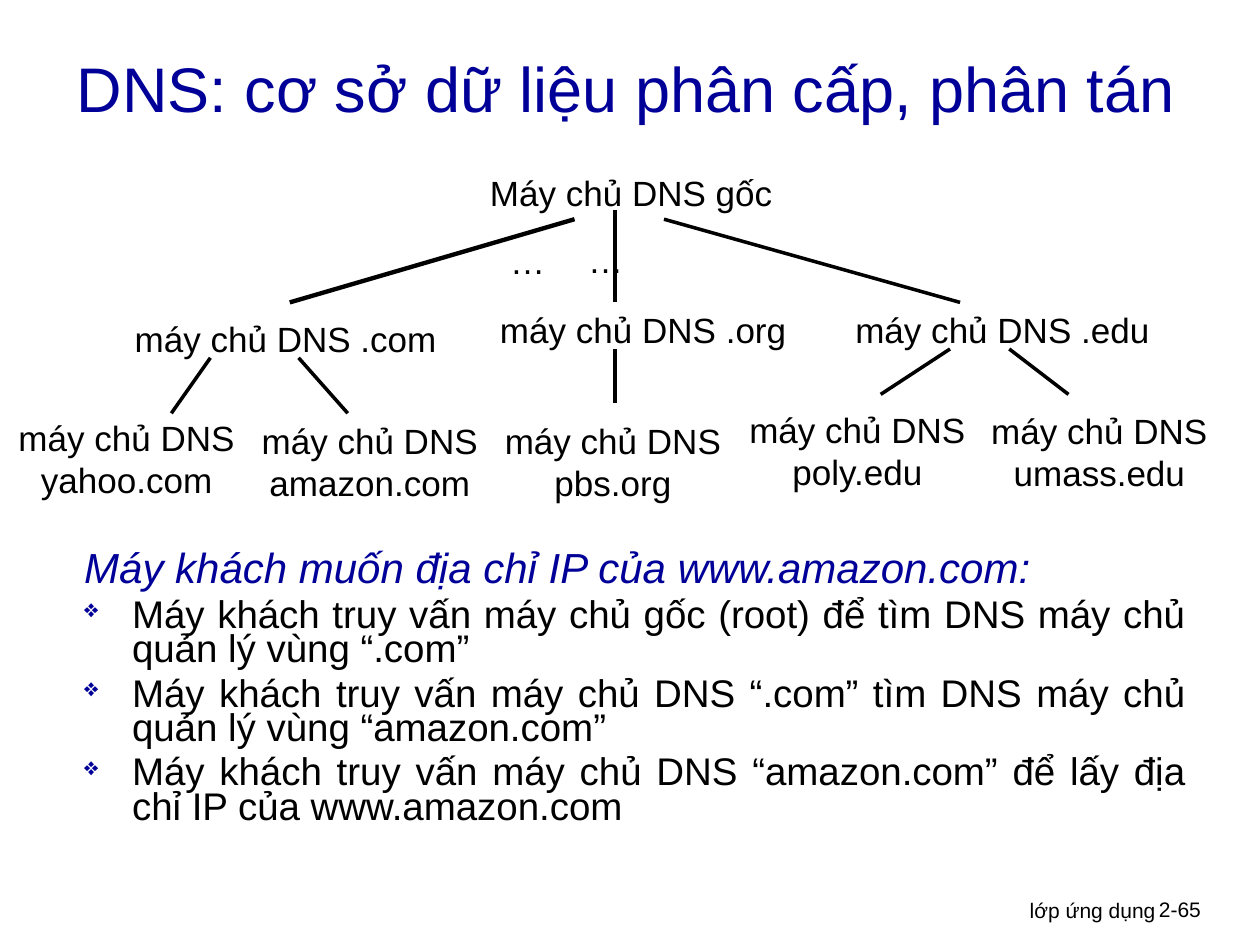
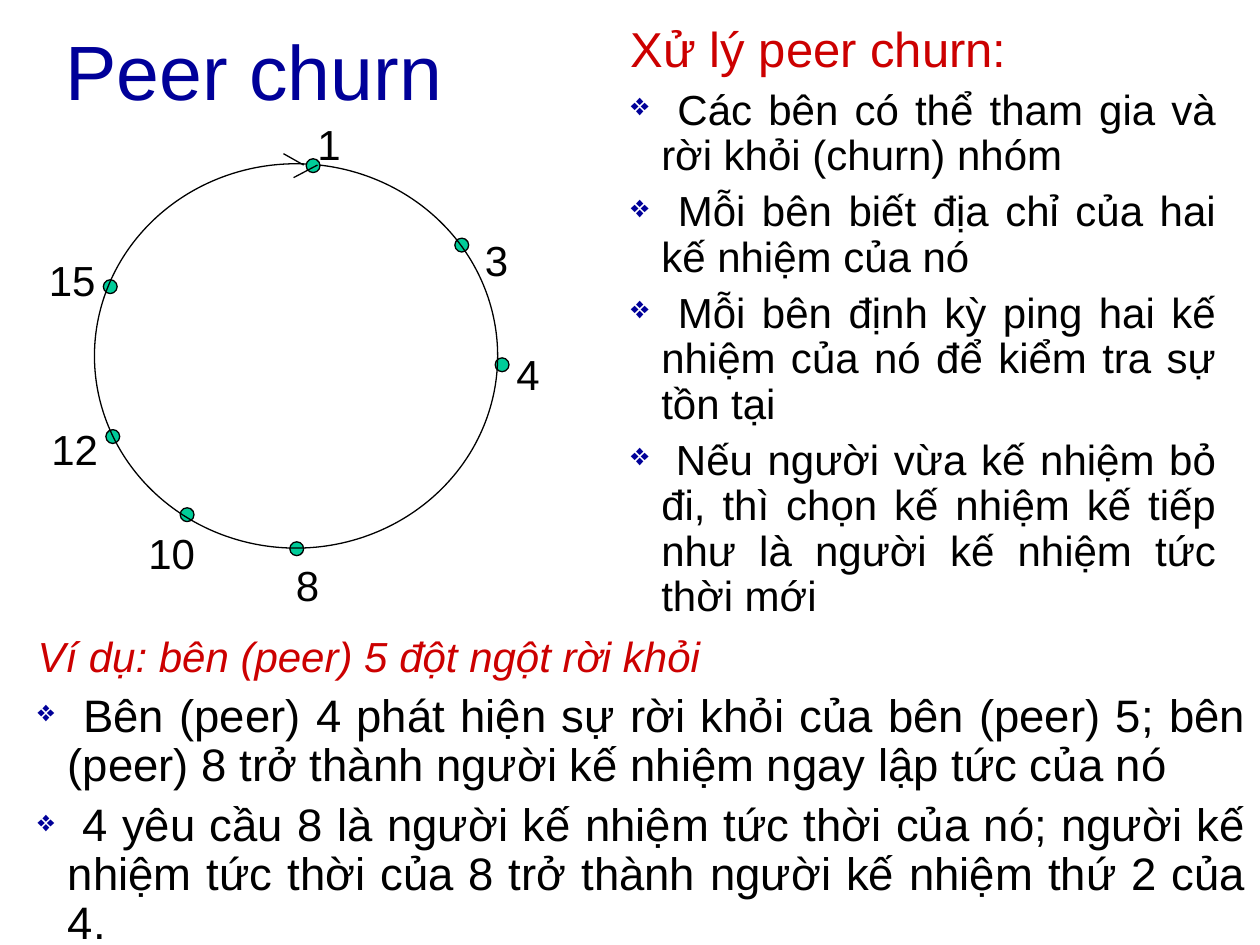
from dataclasses import dataclass
from typing import Optional, Union

from lxml import etree
from pptx import Presentation
from pptx.dml.color import RGBColor
from pptx.enum.shapes import MSO_CONNECTOR, MSO_SHAPE
from pptx.enum.text import MSO_ANCHOR, MSO_AUTO_SIZE, PP_ALIGN
from pptx.oxml.ns import qn
from pptx.slide import Slide
from pptx.util import Inches, Pt

NAVY = RGBColor(0x00, 0x00, 0x99)
RED = RGBColor(0xCC, 0x00, 0x00)
BLACK = RGBColor(0x00, 0x00, 0x00)
GREEN = RGBColor(0x00, 0xCC, 0x99)
FONT = "Arial"
BULLET = "❖"
DOT_SIZE = 0.11
SERVER_WIDTH = 2.01

LEFT, CENTER, RIGHT, JUSTIFY = PP_ALIGN.LEFT, PP_ALIGN.CENTER, PP_ALIGN.RIGHT, PP_ALIGN.JUSTIFY
MIDDLE, TOP = MSO_ANCHOR.MIDDLE, MSO_ANCHOR.TOP
NO_FIT, GROW = MSO_AUTO_SIZE.NONE, MSO_AUTO_SIZE.SHAPE_TO_FIT_TEXT
STRAIGHT = MSO_CONNECTOR.STRAIGHT
ELLIPSE = MSO_SHAPE.OVAL


@dataclass(frozen=True)
class Area:
    left: float
    top: float
    width: float
    height: float

    def lengths(self) -> tuple:
        return tuple(Inches(n) for n in (self.left, self.top, self.width, self.height))


@dataclass(frozen=True)
class Label:
    text: str
    area: Area
    size: int = 20
    align: PP_ALIGN = LEFT
    wrap: bool = False


@dataclass(frozen=True)
class Segment:
    x1: float
    y1: float
    x2: float
    y2: float
    width: float = 2


@dataclass(frozen=True)
class BulletStyle:
    size: int
    space_before: float
    indent: float
    percent: int


@dataclass(frozen=True)
class Section:
    area: Area
    heading: str
    heading_size: int
    heading_color: RGBColor
    italic: bool
    points: tuple[str, ...]
    style: BulletStyle
    heading_spacing: Optional[float]
    point_spacing: Union[float, Pt]


@dataclass(frozen=True)
class Peer:
    name: str
    dot_left: float
    dot_top: float
    label_left: float
    label_top: float


def server(name: str, left: float, top: float) -> Label:
    return Label(f"máy chủ DNS\n{name}", Area(left, top, SERVER_WIDTH, 0.77), align=CENTER)


FOOTER = (
    Label("lớp ứng dụng", Area(6.1, 7.07, 3.17, 0.31), 12, RIGHT, True),
    Label("2-65", Area(9.1, 7.07, 0.74, 0.3), 12, LEFT, True),
)

TREE_LABELS = (
    Label("Máy chủ DNS gốc", Area(3.79, 1.31, 2.54, 0.44)),
    Label("máy chủ DNS .com", Area(0.97, 2.47, 2.69, 0.44)),
    Label("máy chủ DNS .org", Area(3.87, 2.4, 2.57, 0.44)),
    Label("máy chủ DNS .edu", Area(6.69, 2.4, 2.63, 0.44)),
    server("poly.edu", 5.8, 3.19),
    server("umass.edu", 7.72, 3.2),
    server("yahoo.com", 0, 3.26),
    server("amazon.com", 1.93, 3.28),
    server("pbs.org", 3.86, 3.28),
    Label("…", Area(3.95, 1.85, 0.48, 0.44)),
    Label("…", Area(4.57, 1.84, 0.48, 0.44)),
)

TREE_BRANCHES = (
    Segment(4.56, 1.74, 2.3, 2.4, 2.5),
    Segment(4.88, 1.67, 4.88, 2.4),
    Segment(5.27, 1.74, 7.62, 2.4),
    Segment(7.54, 2.77, 6.99, 3.13),
    Segment(8.01, 2.77, 8.48, 3.13),
    Segment(1.67, 2.84, 1.36, 3.28),
    Segment(2.37, 2.84, 2.76, 3.28),
    Segment(4.88, 2.77, 4.88, 3.2),
)

LOOKUP = Section(
    Area(0.57, 4.34, 8.94, 2.33),
    "Máy khách muốn địa chỉ IP của www.amazon.com:", 24, NAVY, True,
    (
        "Máy khách truy vấn máy chủ gốc (root) để tìm DNS máy chủ quản lý vùng “.com”",
        "Máy khách truy vấn máy chủ DNS “.com” tìm DNS máy chủ quản lý vùng “amazon.com”",
        "Máy khách truy vấn máy chủ DNS “amazon.com” để lấy địa chỉ IP của www.amazon.com",
    ),
    BulletStyle(22, 5.5, 0.38, 65), 0.75, 0.75,
)

EXAMPLE = Section(
    Area(0.2, 5, 9.8, 2.33),
    "Ví dụ: bên (peer) 5 đột ngột rời khỏi", 24, RED, True,
    (
        " Bên (peer) 4 phát hiện sự rời khỏi của bên (peer) 5; bên (peer) 8 trở thành "
        "người kế nhiệm ngay lập tức của nó",
        " 4 yêu cầu 8 là người kế nhiệm tức thời của nó; người kế nhiệm tức thời của 8 "
        "trở thành người kế nhiệm thứ 2 của 4.",
    ),
    BulletStyle(26, 6.5, 0.24, 65), 0.9, 0.9,
)

HANDLING = Section(
    Area(4.91, 0.1, 4.84, 4.87),
    "Xử lý peer churn:", 28, RED, False,
    (
        " Các bên có thể tham gia và rời khỏi (churn) nhóm",
        " Mỗi bên biết địa chỉ của hai kế nhiệm của nó",
        " Mỗi bên định kỳ ping hai kế nhiệm của nó để kiểm tra sự tồn tại",
        " Nếu người vừa kế nhiệm bỏ đi, thì chọn kế nhiệm kế tiếp như là người kế nhiệm "
        "tức thời mới",
    ),
    BulletStyle(24, 6, 0.24, 75), None, Pt(26),
)

RING = Area(0.75, 1.3, 3.2, 3.05)
RING_ARROW = (Segment(2.25, 1.22, 2.41, 1.31, 0.75), Segment(2.52, 1.31, 2.33, 1.41, 0.75))
FIRST_PEER = Peer("1", 2.43, 1.26, 2.42, 0.89)
OTHER_PEERS = (
    Peer("3", 3.61, 1.89, 3.75, 1.81),
    Peer("4", 3.93, 2.84, 4, 2.72),
    Peer("8", 2.3, 4.3, 2.25, 4.39),
    Peer("10", 1.43, 4.03, 1.08, 4.14),
    Peer("12", 0.84, 3.41, 0.31, 3.31),
    Peer("15", 0.82, 2.22, 0.29, 1.97),
)


def format_runs(para, size: int, color: RGBColor, italic: bool = False) -> None:
    for span in para.runs:
        span.font.name = FONT
        span.font.size = Pt(size)
        span.font.color.rgb = color
        span.font.italic = italic


def add_page(deck, title: str, area: Area, size: int) -> Slide:
    page = deck.slides.add_slide(deck.slide_layouts[5])
    holder = page.shapes.title
    holder.left, holder.top, holder.width, holder.height = area.lengths()
    frame = holder.text_frame
    frame.text = title
    frame.word_wrap = True
    frame.auto_size = NO_FIT
    frame.vertical_anchor = MIDDLE
    frame.paragraphs[0].alignment = LEFT
    format_runs(frame.paragraphs[0], size, NAVY)
    return page


def add_label(page: Slide, label: Label) -> None:
    frame = page.shapes.add_textbox(*label.area.lengths()).text_frame
    frame.text = label.text
    frame.word_wrap = label.wrap
    frame.auto_size = NO_FIT if label.wrap else GROW
    for para in frame.paragraphs:
        para.alignment = label.align
        format_runs(para, label.size, BLACK)


def add_segment(page: Slide, segment: Segment) -> None:
    ends = (Inches(n) for n in (segment.x1, segment.y1, segment.x2, segment.y2))
    line = page.shapes.add_connector(STRAIGHT, *ends)
    line.line.color.rgb = BLACK
    line.line.width = Pt(segment.width)
    etree.SubElement(line._element.spPr, qn("a:effectLst"))


def add_bullet(para, style: BulletStyle) -> None:
    properties = para._p.get_or_add_pPr()
    properties.set("marL", str(Inches(style.indent)))
    properties.set("indent", str(-Inches(style.indent)))
    color = etree.SubElement(properties, qn("a:buClr"))
    etree.SubElement(color, qn("a:srgbClr"), val=str(NAVY))
    etree.SubElement(properties, qn("a:buSzPct"), val=str(style.percent * 1000))
    etree.SubElement(properties, qn("a:buChar"), char=BULLET)


def add_section(page: Slide, section: Section) -> None:
    frame = page.shapes.add_textbox(*section.area.lengths()).text_frame
    frame.word_wrap = True
    frame.auto_size = NO_FIT
    frame.vertical_anchor = TOP
    heading = frame.paragraphs[0]
    heading.text = section.heading
    heading.alignment = JUSTIFY
    heading.line_spacing = section.heading_spacing
    format_runs(heading, section.heading_size, section.heading_color, section.italic)
    for point in section.points:
        para = frame.add_paragraph()
        para.text = point
        add_bullet(para, section.style)
        para.alignment = JUSTIFY
        para.line_spacing = section.point_spacing
        para.space_before = Pt(section.style.space_before)
        format_runs(para, section.style.size, BLACK)


def add_ellipse(page: Slide, area: Area, fill: Optional[RGBColor] = None) -> None:
    ellipse = page.shapes.add_shape(ELLIPSE, *area.lengths())
    ellipse.shadow.inherit = False
    ellipse.line.color.rgb = BLACK
    ellipse.line.width = Pt(0.75)
    if fill is None:
        ellipse.fill.background()
    else:
        ellipse.fill.solid()
        ellipse.fill.fore_color.rgb = fill


def add_peer(page: Slide, peer: Peer) -> None:
    add_ellipse(page, Area(peer.dot_left, peer.dot_top, DOT_SIZE, DOT_SIZE), GREEN)
    width = 0.19 + 0.19 * len(peer.name)
    add_label(page, Label(peer.name, Area(peer.label_left, peer.label_top, width, 0.5), 24))


def build_hierarchy(deck) -> None:
    page = add_page(deck, "DNS: cơ sở dữ liệu phân cấp, phân tán", Area(0.51, 0.18, 9.13, 1.02), 36)
    for label in FOOTER + TREE_LABELS:
        add_label(page, label)
    for branch in TREE_BRANCHES:
        add_segment(page, branch)
    add_section(page, LOOKUP)


def build_churn(deck) -> None:
    page = add_page(deck, "Peer churn", Area(0.42, 0, 9, 1.11), 44)
    add_section(page, EXAMPLE)
    for peer in OTHER_PEERS:
        add_peer(page, peer)
    add_ellipse(page, RING)
    add_peer(page, FIRST_PEER)
    for stroke in RING_ARROW:
        add_segment(page, stroke)
    add_section(page, HANDLING)


def main() -> None:
    deck = Presentation()
    deck.slide_width, deck.slide_height = Inches(10), Inches(7.5)
    build_hierarchy(deck)
    build_churn(deck)
    deck.save("out.pptx")


if __name__ == "__main__":
    main()
